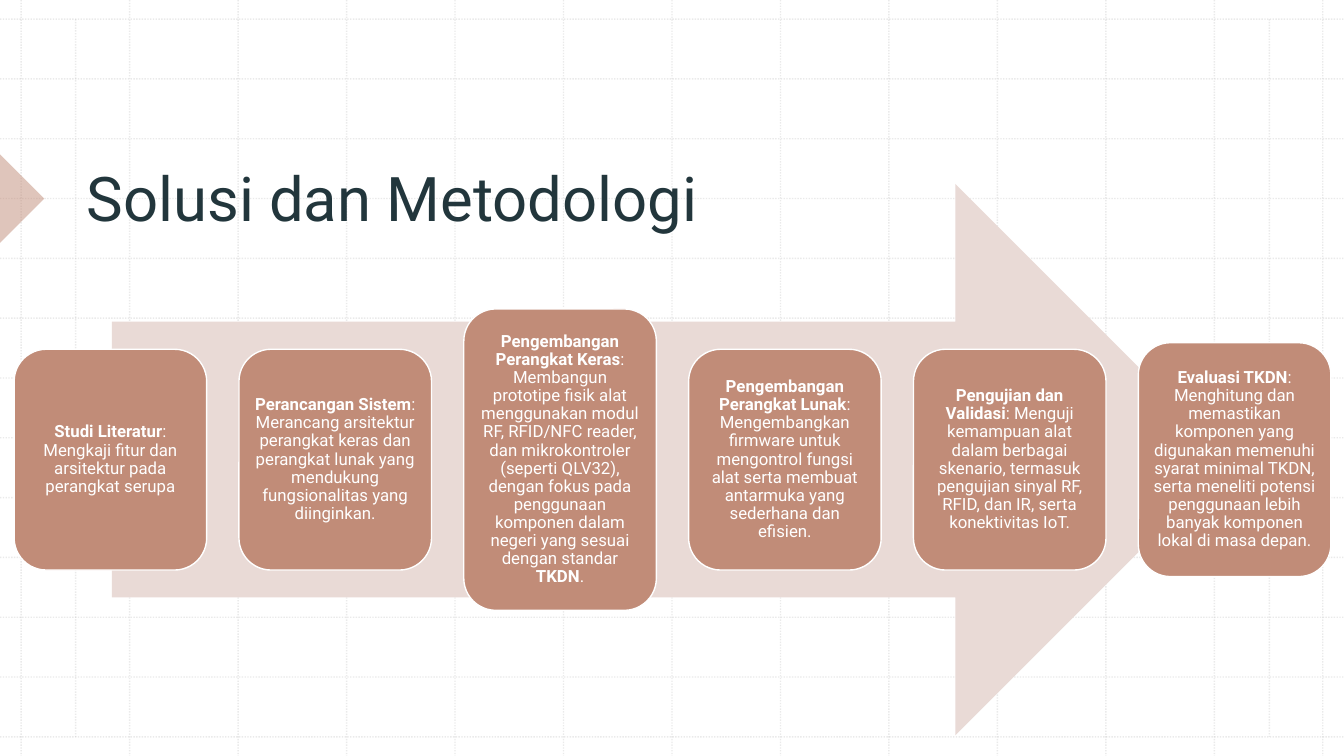
from lxml import etree
from pptx import Presentation
from pptx import util as u
from pptx.dml.color import RGBColor
from pptx.enum import dml, shapes, text
from pptx.oxml.ns import qn

WIDTH, HEIGHT = 13.33, 7.5
COLORS = {"grid": "BCBCBC", "clay": "C18C78", "blush": "E9DAD6",
          "ink": "22363C", "white": "FFFFFF"}
FONT = "Roboto"
GRID_STEPS = 12
FLOW_MIDDLE = 4.56
STEP_LEFT, STEP_PITCH, STEP_WIDTH = 0.14, 2.23, 1.91

# Height of each step, then its wording in runs that alternate bold and regular
STEPS = [
    (2.19, ["Studi Literatur", ": Mengkaji fitur dan arsitektur pada perangkat serupa"]),
    (2.19, ["Perancangan Sistem",
            ": Merancang arsitektur perangkat keras dan perangkat lunak yang "
            "mendukung fungsionalitas yang diinginkan."]),
    (2.99, ["Pengembangan Perangkat Keras",
            ": Membangun prototipe fisik alat menggunakan modul RF, RFID/NFC reader, "
            "dan mikrokontroler (seperti QLV32), dengan fokus pada penggunaan "
            "komponen dalam negeri yang sesuai dengan standar ",
            "TKDN", "."]),
    (2.19, ["Pengembangan Perangkat Lunak",
            ": Mengembangkan firmware untuk mengontrol fungsi alat serta membuat "
            "antarmuka yang sederhana dan efisien."]),
    (2.19, ["Pengujian dan Validasi",
            ": Menguji kemampuan alat dalam berbagai skenario, termasuk pengujian "
            "sinyal RF, RFID, dan IR, serta konektivitas IoT."]),
    (2.32, ["Evaluasi TKDN",
            ": Menghitung dan memastikan komponen yang digunakan memenuhi syarat "
            "minimal TKDN, serta meneliti potensi penggunaan lebih banyak komponen "
            "lokal di masa depan."]),
]

prs = Presentation()
prs.slide_width, prs.slide_height = u.Inches(WIDTH), u.Inches(HEIGHT)
slide = prs.slides.add_slide(prs.slide_layouts[5])


def set_alpha(part, percent):
    """Make the solid colour inside a shape's or line's properties see-through."""
    color = next(part.iter(qn("a:srgbClr")))
    etree.SubElement(color, qn("a:alpha")).set("val", str(percent * 1000))


def add_filled(kind, left, top, width, height, color):
    shape = slide.shapes.add_shape(kind, *map(u.Inches, (left, top, width, height)))
    shape.shadow.inherit = False
    shape.fill.solid()
    shape.fill.fore_color.rgb = RGBColor.from_string(COLORS[color])
    shape.line.fill.background()
    return shape


# Dotted background grid
columns = [0.21 + i * 12.91 / GRID_STEPS for i in range(GRID_STEPS + 1)]
rows = [0.19 + i * 7.12 / GRID_STEPS for i in range(GRID_STEPS + 1)]
grid_lines = [(x, 0, x, HEIGHT) for x in columns]
grid_lines += [(0, y, WIDTH, y) for y in rows]
grid_lines += [(x, rows[0], x, rows[-1]) for x in (0.75, 12.59)]
for ends in grid_lines:
    rule = slide.shapes.add_connector(shapes.MSO_CONNECTOR.STRAIGHT, *map(u.Inches, ends))
    rule.line.color.rgb = RGBColor.from_string(COLORS["grid"])
    rule.line.width = u.Pt(1)
    rule.line.dash_style = dml.MSO_LINE.ROUND_DOT
    properties = rule.element.spPr
    set_alpha(properties, 30)
    etree.SubElement(properties, qn("a:effectLst"))

# Title with its pointer at the left edge
pointer = add_filled(shapes.MSO_SHAPE.RIGHT_TRIANGLE, -0.31, 1.66, 0.62, 0.62, "clay")
pointer.rotation = 225
set_alpha(pointer.element.spPr, 50)

title = slide.shapes.title
title.element.getparent().append(title.element)  # in front of the grid
title.left, title.top, title.width, title.height = map(u.Inches, (0.76, 0.79, 11.29, 1.58))
title.text_frame.text = "Solusi dan Metodologi"
title.text_frame.auto_size = text.MSO_AUTO_SIZE.NONE
title.text_frame.vertical_anchor = text.MSO_ANCHOR.BOTTOM
heading = title.text_frame.paragraphs[0]
heading.alignment = text.PP_ALIGN.LEFT
heading.font.name, heading.font.size = FONT, u.Pt(44)
heading.font.color.rgb = RGBColor.from_string(COLORS["ink"])

# Method steps along the arrow
add_filled(shapes.MSO_SHAPE.RIGHT_ARROW, 1.11, FLOW_MIDDLE - 5.47 / 2, 11.1, 5.47, "blush")
inset = u.Inches(0.05)
frame_format = {"word_wrap": True, "vertical_anchor": text.MSO_ANCHOR.MIDDLE,
                "margin_left": inset, "margin_right": inset,
                "margin_top": inset, "margin_bottom": inset}
for i, (height, wording) in enumerate(STEPS):
    step = add_filled(shapes.MSO_SHAPE.ROUNDED_RECTANGLE, STEP_LEFT + i * STEP_PITCH,
                      FLOW_MIDDLE - height / 2, STEP_WIDTH, height, "clay")
    step.line.color.rgb = RGBColor.from_string(COLORS["white"])
    step.line.width = u.Pt(1)
    for name, value in frame_format.items():
        setattr(step.text_frame, name, value)
    description = step.text_frame.paragraphs[0]
    description.alignment = text.PP_ALIGN.CENTER
    description.line_spacing = 0.9
    for j, words in enumerate(wording):
        run = description.add_run()
        run.text = words
        run.font.name, run.font.size, run.font.bold = FONT, u.Pt(12), j % 2 == 0
        run.font.color.rgb = RGBColor.from_string(COLORS["white"])

prs.save("out.pptx")
